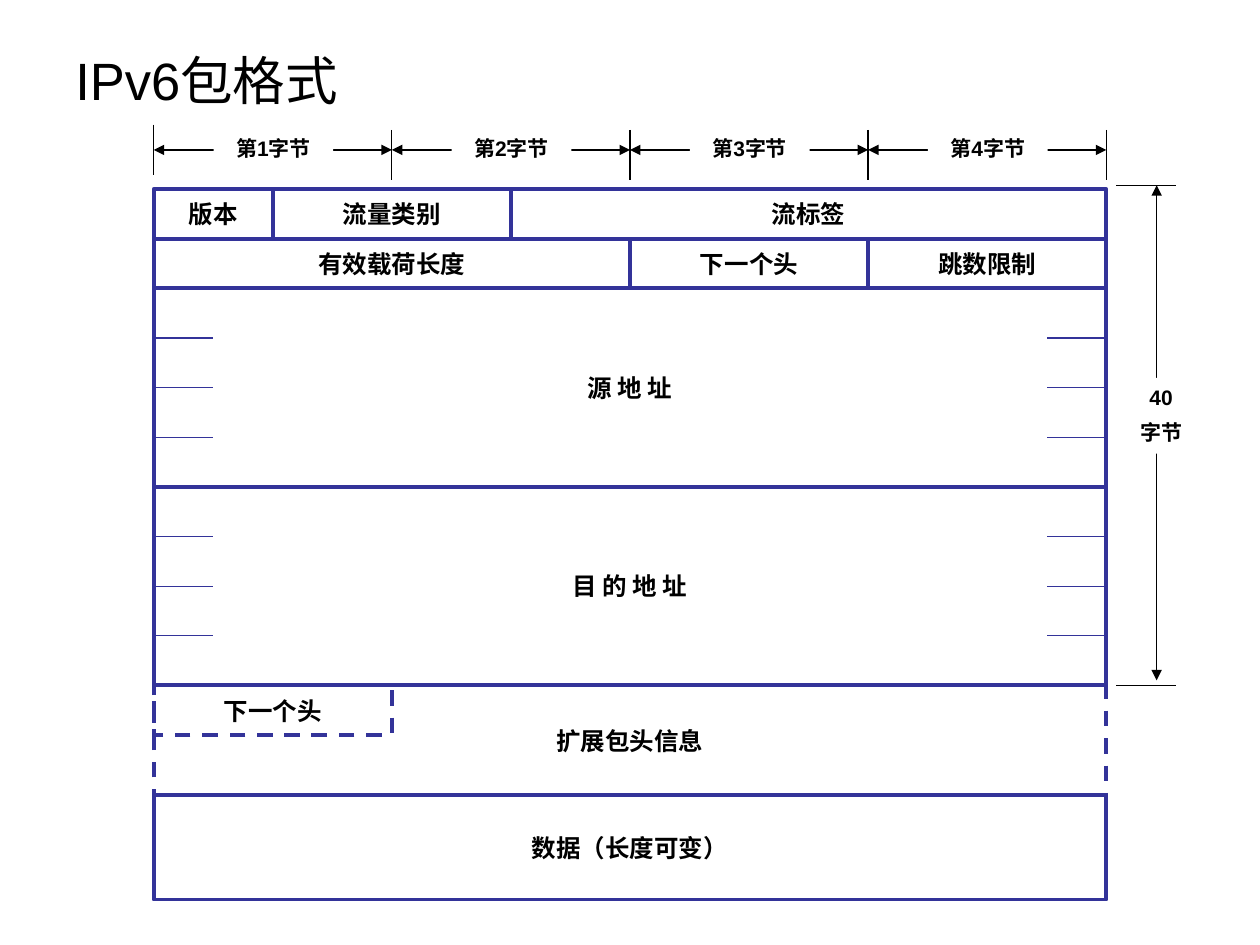
from dataclasses import dataclass

from pptx import Presentation
from pptx.dml.color import RGBColor
from pptx.enum.dml import MSO_LINE
from pptx.enum.shapes import MSO_CONNECTOR, MSO_SHAPE
from pptx.enum.text import MSO_ANCHOR, MSO_AUTO_SIZE, PP_ALIGN
from pptx.oxml.ns import qn
from pptx.util import Inches, Pt
from lxml.etree import SubElement


@dataclass(frozen=True)
class Theme:
    font: str = "Arial"
    ink: RGBColor = RGBColor(0, 0, 0)
    paper: RGBColor = RGBColor(0xFF, 0xFF, 0xFF)
    frame: RGBColor = RGBColor(0x33, 0x33, 0x99)
    title: Pt = Pt(30)
    field: Pt = Pt(14)
    label: Pt = Pt(12)
    thick: Pt = Pt(2.25)
    thin: Pt = Pt(0.75)


theme = Theme()
deck = Presentation()
deck.slide_width, deck.slide_height = Inches(10), Inches(7.5)
page = deck.slides.add_slide(deck.slide_layouts[6])


def add_box(left, top, width, height, lines, size, color=None, dashed=False):
    box = page.shapes.add_shape(
        MSO_SHAPE.RECTANGLE, Inches(left), Inches(top), Inches(width), Inches(height))
    box.shadow.inherit = False
    frame = box.text_frame
    if color is None:
        box.fill.solid()
        box.fill.fore_color.rgb = theme.paper
        box.line.fill.background()
        frame.word_wrap = True
        frame.auto_size = MSO_AUTO_SIZE.SHAPE_TO_FIT_TEXT
        frame.vertical_anchor = MSO_ANCHOR.TOP
    else:
        box.fill.background()
        box.line.color.rgb = color
        box.line.width = theme.thick
        if dashed:
            box.line.dash_style = MSO_LINE.DASH
        frame.word_wrap = False
        frame.vertical_anchor = MSO_ANCHOR.MIDDLE
    for index, text in enumerate(lines):
        para = frame.paragraphs[0] if index == 0 else frame.add_paragraph()
        para.alignment = PP_ALIGN.CENTER
        if index:
            para.space_before = Pt(6)
        span = para.add_run()
        span.text = text
        span.font.name = theme.font
        span.font.size = size
        span.font.bold = True
        span.font.color.rgb = theme.ink
    return box


def add_line(x1, y1, x2, y2, color, arrows=False):
    line = page.shapes.add_connector(
        MSO_CONNECTOR.STRAIGHT, Inches(x1), Inches(y1), Inches(x2), Inches(y2))
    line.line.color.rgb = color
    line.line.width = theme.thin
    if arrows:
        outline = line.line._get_or_add_ln()
        for end in ("a:headEnd", "a:tailEnd"):
            SubElement(outline, qn(end), type="triangle")
    SubElement(line._element.spPr, qn("a:effectLst"))
    return line


title = page.shapes.add_textbox(Inches(0.5), Inches(0.21), Inches(8.2), Inches(0.85))
title.text_frame.word_wrap = True
title.text_frame.vertical_anchor = MSO_ANCHOR.MIDDLE
span = title.text_frame.paragraphs[0].add_run()
span.text = "IPv6包格式"
span.font.name = theme.font
span.font.size = theme.title
span.font.color.rgb = theme.ink

left, byte, tick = 1.22, 1.89, 0.47
right = left + 4 * byte
top, bottom = 1.5, 5.44
row = (bottom - top) / 10

add_line(left, 0.99, left, 1.39, theme.ink)
for number in range(1, 5):
    end = left + number * byte
    add_line(end, 1.03, end, 1.43, theme.ink)
    add_line(end - byte, 1.19, end, 1.19, theme.ink, arrows=True)
    add_box(end - byte / 2 - 0.47, 1.03, 0.95, 0.3, [f"第{number}字节"], theme.label)

header_rows = [
    [("版本", 0.5), ("流量类别", 1), ("流标签", 2.5)],
    [("有效载荷长度", 2), ("下一个头", 1), ("跳数限制", 1)],
]
for index, fields in enumerate(header_rows):
    x = left
    for name, count in fields:
        add_box(x, top + index * row, count * byte, row, [name], theme.field, theme.frame)
        x += count * byte

for name, start in (("源 地 址", 2), ("目 的 地 址", 6)):
    address_top = top + start * row
    address = add_box(left, address_top, 4 * byte, 4 * row, [name], theme.field, theme.frame)
    for step in (1, 2, 3):
        y = address_top + step * row
        left_tick = add_line(left, y, left + tick, y, theme.frame)
        right_tick = add_line(right - tick, y, right, y, theme.frame)
        if step == 2:
            left_tick.begin_connect(address, 1)
            right_tick.end_connect(address, 3)

for name, y, width, height, dashed in (
    ("下一个头", bottom, byte, row, True),
    ("扩展包头信息", bottom, 4 * byte, 0.87, True),
    ("数据（长度可变）", 6.31, 4 * byte, 0.83, False),
):
    add_box(left, y, width, height, [name], theme.field, theme.frame, dashed)

for y in (1.47, bottom):
    add_line(9.33, y, 8.86, y, theme.ink)
add_line(9.18, 1.47, 9.18, 5.4, theme.ink, arrows=True)
add_box(8.86, 3, 0.71, 0.6, ["40", "字节"], theme.label)

deck.save("out.pptx")
